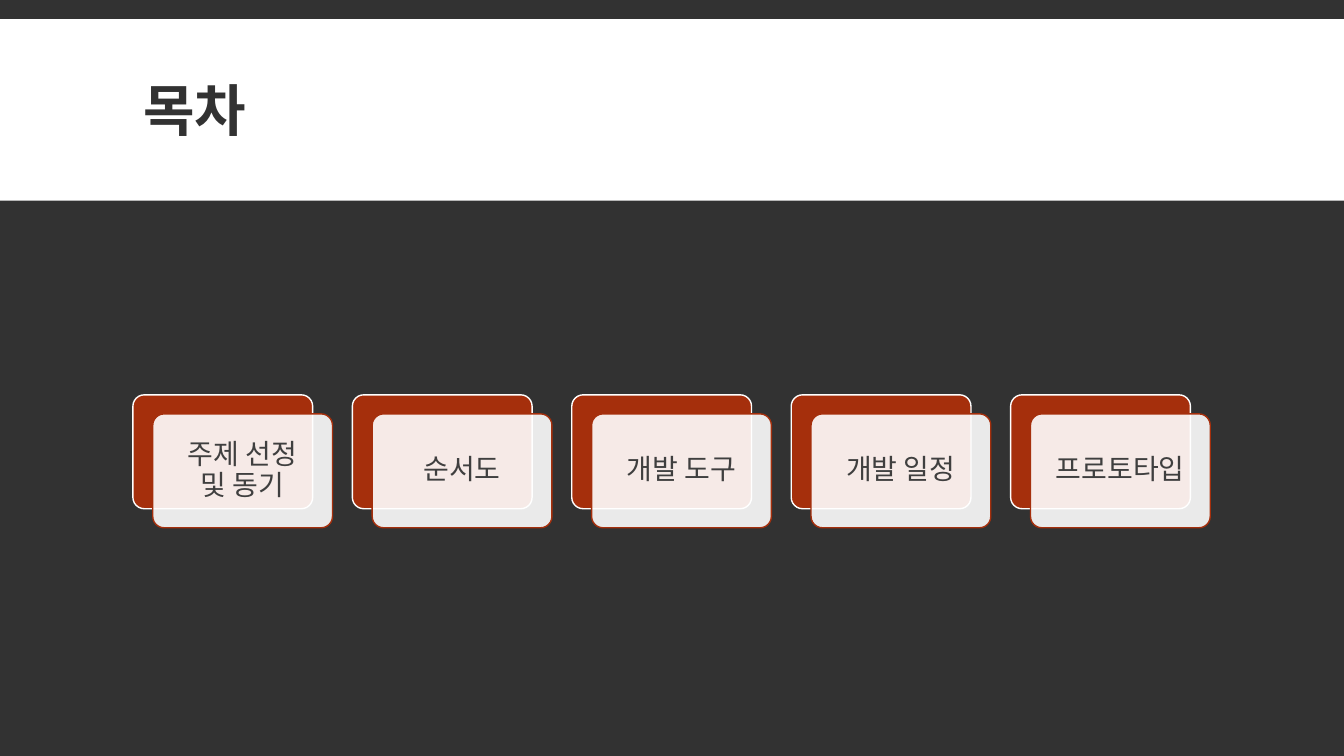
from dataclasses import dataclass
from pptx import Presentation
from pptx.dml.color import RGBColor as Rgb
from pptx.enum.shapes import MSO_SHAPE as Kind
from pptx.enum.text import MSO_ANCHOR as Anchor, MSO_AUTO_SIZE as Fit, PP_ALIGN as Align
from pptx.oxml.ns import qn
from pptx.util import Cm, Pt
from lxml.etree import SubElement


@dataclass(frozen=True)
class Theme:
    """Colours, font and type sizes of the deck."""
    dark: Rgb = Rgb(0x32, 0x32, 0x32)
    white: Rgb = Rgb(0xFF, 0xFF, 0xFF)
    rust: Rgb = Rgb(0xA5, 0x2F, 0x0C)
    ink: Rgb = Rgb(0x3F, 0x3F, 0x3F)
    face: str = "Calibri"
    head: Pt = Pt(40)
    body: Pt = Pt(20)


THEME = Theme()
TOPICS = ["주제 선정\n및 동기", "순서도", "개발 도구", "개발 일정", "프로토타입"]


def apply(item, values):
    """Set each named value on the item."""
    for name, value in values.items():
        setattr(item, name, value)


def write(shape, text, frame, para, font):
    """Put formatted text into a shape."""
    body = shape.text_frame
    body.text = text
    apply(body, {"word_wrap": True, "auto_size": Fit.NONE,
                 "vertical_anchor": Anchor.MIDDLE, **frame})
    for line in body.paragraphs:
        apply(line, para)
        for run in line.runs:
            apply(run.font, {"name": THEME.face, **font})
            run.font.color.rgb = THEME.ink if font["size"] == THEME.body else THEME.dark


def block(slide, kind, box, fill, edge=None):
    """Draw a flat shape in the box, with an edge if one is given."""
    shape = slide.shapes.add_shape(kind, *map(Cm, box))
    shape.shadow.inherit = False
    shape.fill.solid()
    shape.fill.fore_color.rgb = fill
    if edge is None:
        shape.line.fill.background()
    else:
        shape.line.color.rgb = edge
        shape.line.width = Pt(1)
    if kind == Kind.ROUNDED_RECTANGLE:
        shape.adjustments[0] = 0.1
    return shape


def header(slide, box, text):
    """Draw the white band with the title in front of it."""
    left, top, width, height = box
    band = block(slide, Kind.RECTANGLE, box, THEME.white)
    title = slide.shapes.title
    title._element.addprevious(band._element)
    apply(title, {"left": Cm(left + 3.35), "top": Cm(top + 0.31),
                  "width": Cm(width - 6.69), "height": Cm(height - 0.38)})
    write(title, text, {}, {"alignment": Align.LEFT, "line_spacing": 0.85},
          {"size": THEME.head, "bold": True})


def card(slide, box, text):
    """Draw a rust plate with a sheer label shifted over it."""
    left, top, width, height = box
    dx, dy = 0.5, 0.48
    wide, high = width - dx, height - dy
    block(slide, Kind.ROUNDED_RECTANGLE, (left, top, wide, high), THEME.rust, THEME.white)
    label = block(slide, Kind.ROUNDED_RECTANGLE, (left + dx, top + dy, wide, high),
                  THEME.white, THEME.rust)
    tint = label._element.spPr.find(qn("a:solidFill")).find(qn("a:srgbClr"))
    SubElement(tint, qn("a:alpha"), val="90000")
    sides = ("left", "top", "right", "bottom")
    write(label, text, {f"margin_{side}": Cm(0.2) for side in sides},
          {"alignment": Align.CENTER, "line_spacing": 0.9}, {"size": THEME.body})


def agenda(slide, box, topics):
    """Spread the topic cards evenly across the box."""
    left, top, width, height = box
    gap = 0.5
    wide = (width - gap * (len(topics) - 1)) / len(topics)
    for i, topic in enumerate(topics):
        card(slide, (left + i * (wide + gap), top, wide, height), topic)


def main():
    """Build the contents slide and save it."""
    deck = Presentation()
    apply(deck, {"slide_width": Cm(33.87), "slide_height": Cm(19.05)})
    slide = deck.slides.add_slide(deck.slide_layouts[5])
    slide.background.fill.solid()
    slide.background.fill.fore_color.rgb = THEME.dark
    header(slide, (0, 0.48, 33.87, 4.58), "목차")
    agenda(slide, (3.35, 9.95, 27.15, 3.35), TOPICS)
    deck.save("out.pptx")


if __name__ == "__main__":
    main()
